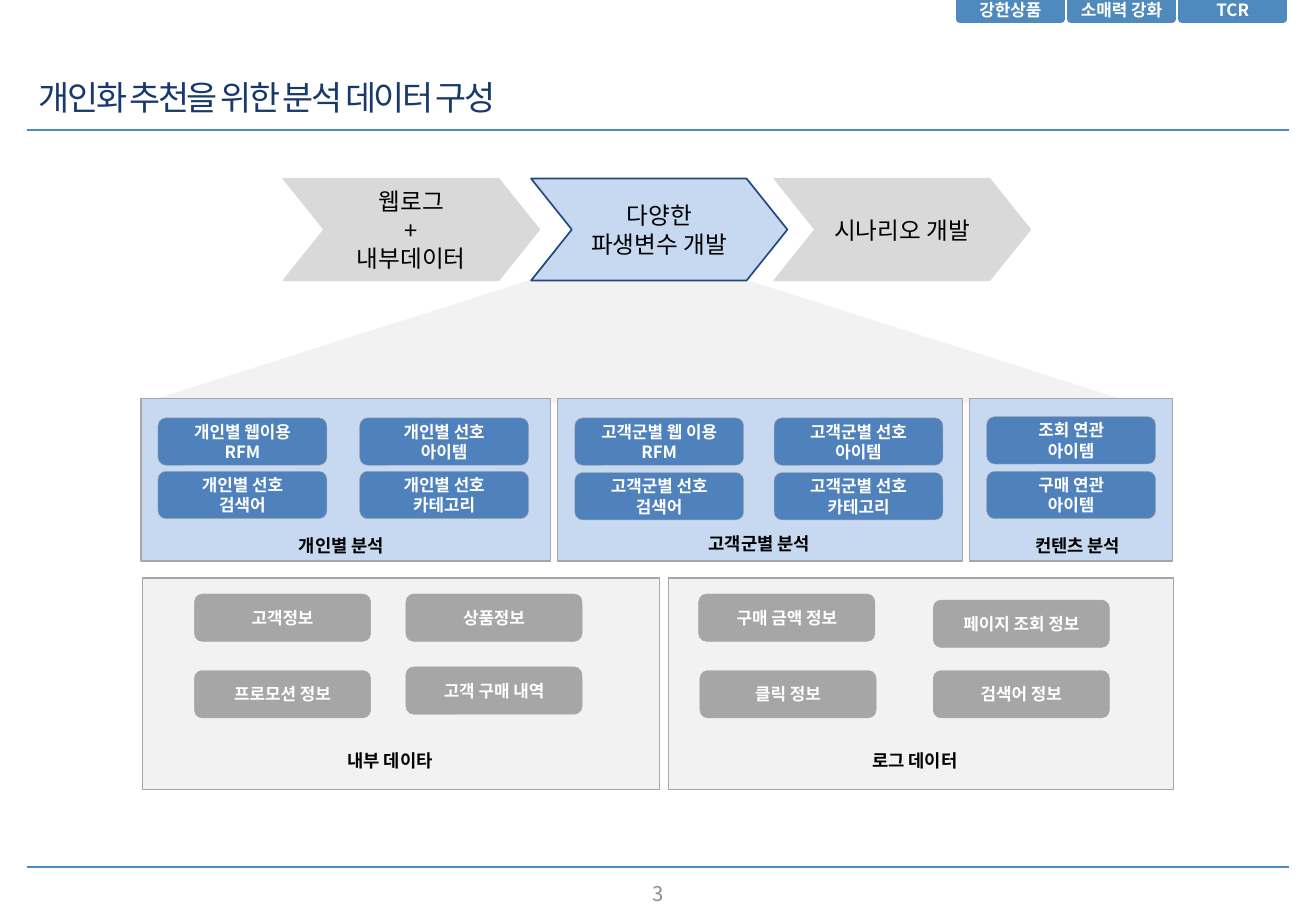
from lxml.etree import SubElement
from pptx import Presentation
from pptx.dml.color import RGBColor
from pptx.enum.shapes import MSO_CONNECTOR, MSO_SHAPE
from pptx.enum.text import MSO_ANCHOR, MSO_AUTO_SIZE, PP_ALIGN
from pptx.oxml.ns import qn
from pptx.util import Inches, Pt

FONT = "Noto Sans CJK KR"
WHITE = RGBColor(0xFF, 0xFF, 0xFF)
BLACK = RGBColor(0, 0, 0)
NAVY = RGBColor(0x19, 0x39, 0x6B)
EDGE = RGBColor(0x1F, 0x49, 0x7D)
RULE = RGBColor(0x4F, 0x8A, 0xBE)
BLUE = RGBColor(0x4F, 0x81, 0xBD)
SKY = RGBColor(0xC6, 0xD9, 0xF1)
PALE = RGBColor(0xF2, 0xF2, 0xF2)
SILVER = RGBColor(0xD9, 0xD9, 0xD9)
GRAY = RGBColor(0xA6, 0xA6, 0xA6)
DIM = RGBColor(0x8C, 0x8C, 0x8C)

TABS = ["강한상품", "소매력 강화", "TCR"]
STEPS = [
    (2.33, "웹로그\n+\n내부데이터", SILVER, SILVER, 0.75),
    (4.37, "다양한\n파생변수 개발", SKY, EDGE, 1),
    (6.37, "시나리오 개발", SILVER, SILVER, 0.75),
]
STUDIES = [
    (1.16, 3.37, "개인별 분석", 2.81, 4.35, [
        (1.3, 3.44, "개인별 웹이용\nRFM"),
        (2.96, 3.44, "개인별 선호\n아이템"),
        (1.3, 3.88, "개인별 선호\n검색어"),
        (2.96, 3.88, "개인별 선호\n카테고리"),
    ]),
    (4.59, 3.33, "고객군별 분석", 6.25, 4.34, [
        (4.73, 3.44, "고객군별 웹 이용\nRFM"),
        (6.37, 3.44, "고객군별 선호\n아이템"),
        (4.73, 3.89, "고객군별 선호\n검색어"),
        (6.37, 3.89, "고객군별 선호\n카테고리"),
    ]),
    (7.98, 1.67, "컨텐츠 분석", 8.87, 4.35, [
        (8.12, 3.43, "조회 연관\n아이템"),
        (8.12, 3.88, "구매 연관\n아이템"),
    ]),
]
SOURCES = [
    (1.17, 4.26, "내부 데이타", 3.21, 6.12, [
        (1.6, 4.89, "고객정보"),
        (3.34, 4.89, "상품정보"),
        (1.6, 5.52, "프로모션 정보"),
        (3.34, 5.49, "고객 구매 내역"),
    ]),
    (5.5, 4.16, "로그 데이터", 7.53, 6.12, [
        (5.75, 4.89, "구매 금액 정보"),
        (7.68, 4.94, "페이지 조회 정보"),
        (5.76, 5.52, "클릭 정보"),
        (7.68, 5.52, "검색어 정보"),
    ]),
]


def write(shape, text, size=10, color=WHITE, bold=False, align=PP_ALIGN.CENTER,
          anchor=MSO_ANCHOR.MIDDLE, wrap=True, inset=None, track=None):
    frame = shape.text_frame
    frame.auto_size = MSO_AUTO_SIZE.NONE
    frame.word_wrap = wrap
    frame.vertical_anchor = anchor
    if inset is not None:
        frame.margin_left = frame.margin_right = Inches(inset)
        frame.margin_top = frame.margin_bottom = Inches(inset)
    frame.text = text
    for para in frame.paragraphs:
        para.alignment = align
        for run in para.runs:
            font = run.font
            font.name, font.size, font.bold = FONT, Pt(size), bold
            font.color.rgb = color
            props = run._r.get_or_add_rPr()
            SubElement(props, qn("a:ea")).set("typeface", FONT)
            if track:
                props.set("spc", str(int(track * 100)))


def block(slide, kind, left, top, width, height, fill, line=None, weight=0.75):
    shape = slide.shapes.add_shape(
        kind, Inches(left), Inches(top), Inches(width), Inches(height))
    shape.shadow.inherit = False
    shape.fill.solid()
    shape.fill.fore_color.rgb = fill
    if line is None:
        shape.line.fill.background()
    else:
        shape.line.color.rgb = line
        shape.line.width = Pt(weight)
    return shape


def label(slide, text, left, top, width, height, **style):
    box = slide.shapes.add_textbox(
        Inches(left), Inches(top), Inches(width), Inches(height))
    write(box, text, **style)


def rule(slide, top):
    line = slide.shapes.add_connector(
        MSO_CONNECTOR.STRAIGHT, Inches(0.22), Inches(top), Inches(10.61), Inches(top))
    line.line.color.rgb = RULE
    line.line.width = Pt(1)
    SubElement(line._element.spPr, qn("a:effectLst"))


def heading(slide, text):
    title = slide.shapes.title
    title.left, title.top = Inches(0.22), Inches(0.52)
    title.width, title.height = Inches(8.27), Inches(0.56)
    write(title, text, size=20, color=NAVY, align=PP_ALIGN.LEFT, track=-1.5)


def panel(slide, group, top, height, fill, wide, tint):
    left, width, name, middle, base, items = group
    block(slide, MSO_SHAPE.RECTANGLE, left, top, width, height, fill, GRAY)
    for x, y, text in items:
        chip = block(slide, MSO_SHAPE.ROUNDED_RECTANGLE, x, y, wide, 0.39, tint, GRAY, 0.25)
        write(chip, text, bold=True)
    label(slide, name, middle - 0.6, base, 1.2, 0.28, size=10.5, color=BLACK,
          bold=True, anchor=MSO_ANCHOR.TOP)


def main():
    """Build the slide on analysis data for personal recommendations."""
    deck = Presentation()
    deck.slide_width, deck.slide_height = Inches(10.83), Inches(7.5)
    slide = deck.slides.add_slide(deck.slide_layouts[5])
    heading(slide, "개인화 추천을 위한 분석 데이터 구성")
    for top in (1.07, 7.14):
        rule(slide, top)
    for spot, text in enumerate(TABS):
        tab = block(slide, MSO_SHAPE.RECTANGLE, 7.9 + 0.915 * spot, 0, 0.83, 0.16,
                    RULE, RULE, 4.5)
        write(tab, text, bold=True, wrap=False, inset=0)
    beam = block(slide, MSO_SHAPE.TRAPEZOID, 1.17, 2.22, 8.17, 1.1, PALE)
    beam.adjustments[0] = 3.15
    for left, text, fill, line, weight in STEPS:
        step = block(slide, MSO_SHAPE.CHEVRON, left, 1.47, 2.11, 0.84, fill, line, weight)
        step.adjustments[0] = 0.4
        write(step, text, size=14, color=BLACK, inset=0.04)
    for group in STUDIES:
        panel(slide, group, 3.28, 1.34, SKY, 1.39, BLUE)
    for group in SOURCES:
        panel(slide, group, 4.76, 1.74, PALE, 1.45, GRAY)
    label(slide, "3", 5.08, 7.21, 0.68, 0.21, size=12, color=DIM, anchor=MSO_ANCHOR.TOP)
    deck.save("out.pptx")


if __name__ == "__main__":
    main()
